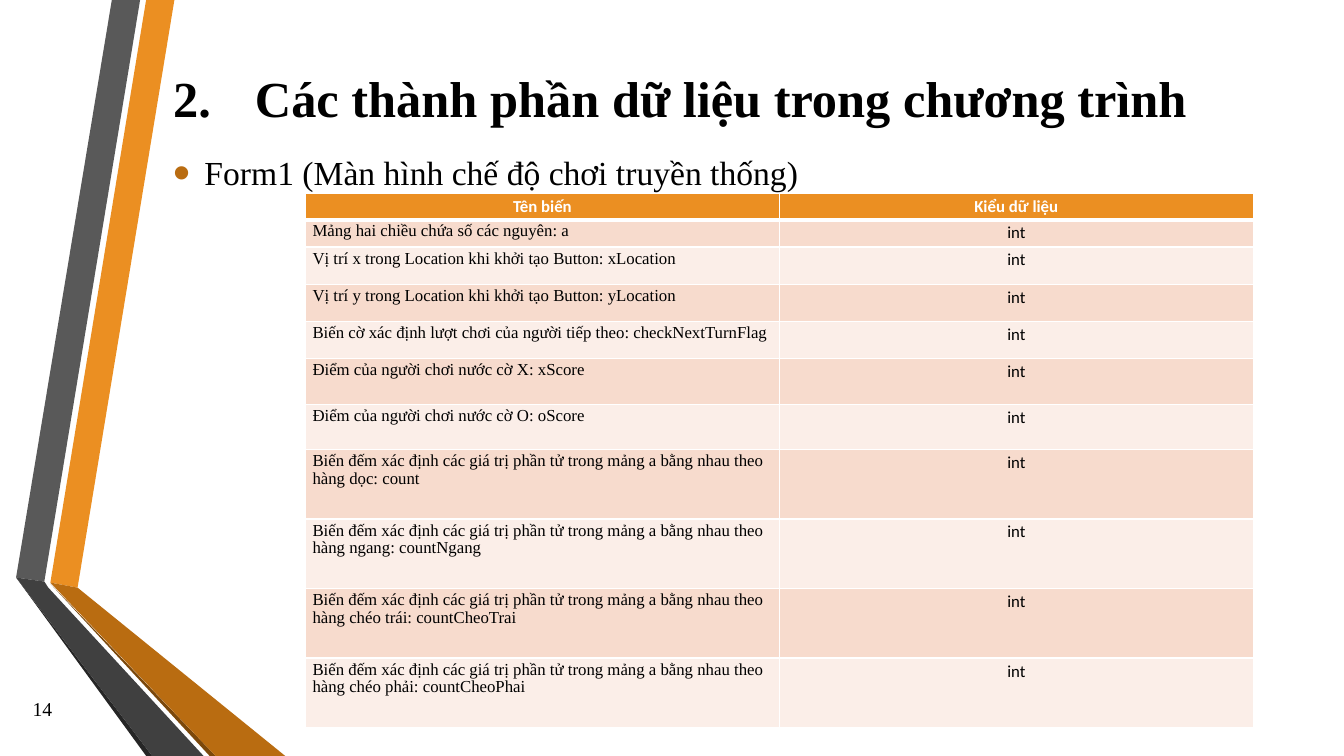
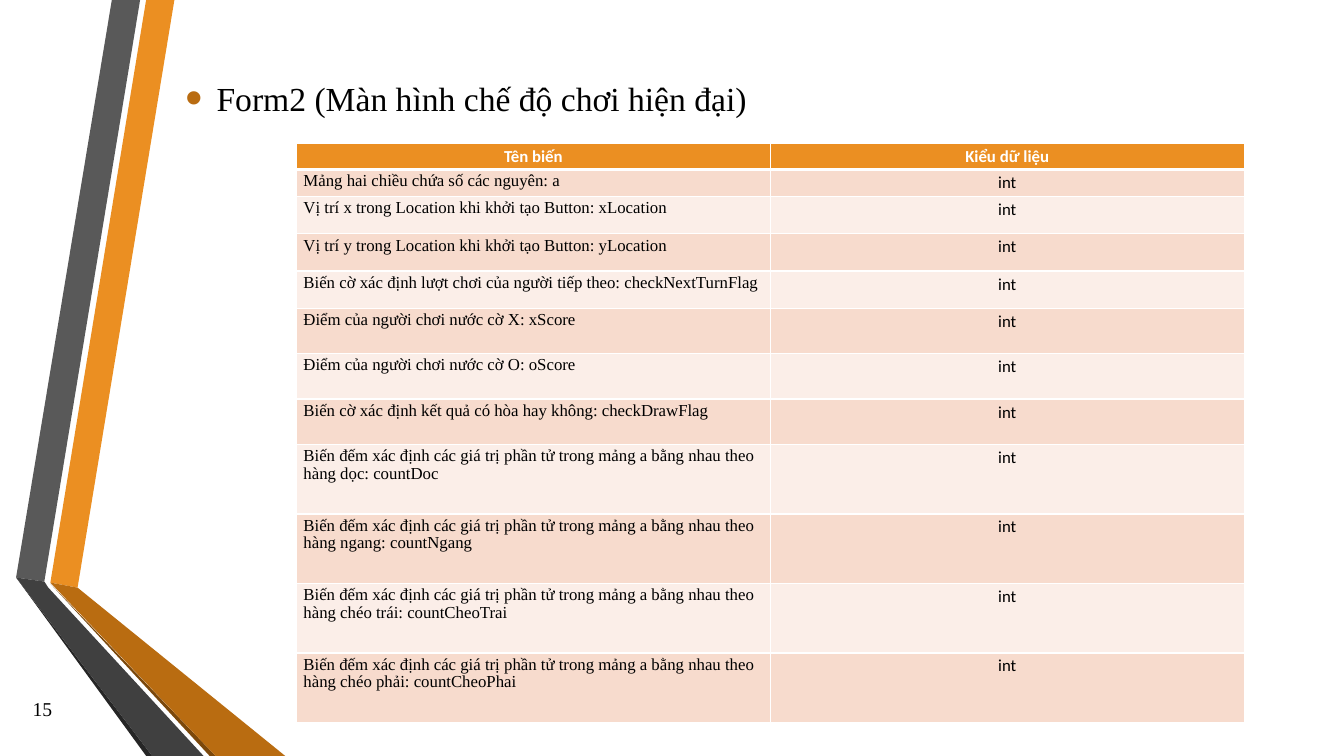
from lxml.etree import SubElement
from pptx import Presentation
from pptx.dml.color import RGBColor
from pptx.enum.text import MSO_ANCHOR, PP_ALIGN
from pptx.oxml.ns import qn
from pptx.util import Pt

PX = 9144  # 100 px to the inch
WIDE, HIGH = 1333, 750

WHITE = RGBColor(0xFF, 0xFF, 0xFF)
BLACK = RGBColor(0, 0, 0)
ORANGE = RGBColor(0xEB, 0x8F, 0x22)
RUST = RGBColor(0xB9, 0x6C, 0x11)
BROWN = RGBColor(0x7B, 0x48, 0x0B)
GREY = RGBColor(0x59, 0x59, 0x59)
DARK = RGBColor(0x40, 0x40, 0x40)
COAL = RGBColor(0x26, 0x26, 0x26)
BANDS = RGBColor(0xF7, 0xDB, 0xCD), RGBColor(0xFB, 0xEE, 0xE8)

SERIF, SANS = "Times New Roman", "Calibri"

RIBBONS = [
    (ORANGE, [(50, 578), (77, 583), (173, 0), (145, 0)]),
    (GREY, [(139, 0), (111, 0), (16, 573), (44, 577)]),
    (COAL, [(16, 573), (145, 750), (151, 750)]),
    (BROWN, [(50, 579), (208, 750), (214, 750)]),
    (RUST, [(50, 578), (214, 750), (283, 750), (77, 583)]),
    (DARK, [(202, 750), (48, 583), (44, 577), (16, 573), (151, 750)]),
]

HEADS = "Tên biến", "Kiểu dữ liệu"
KIND = "int"
HEAD, FIRST, SHORT, MID, TALL = 26, 27, 37, 45, 69  # row heights
COUNT = "Biến đếm xác định các giá trị phần tử trong mảng a bằng nhau theo hàng "
START = [
    ("Mảng hai chiều chứa số các nguyên: a", FIRST),
    ("Vị trí x trong Location khi khởi tạo Button: xLocation", SHORT),
    ("Vị trí y trong Location khi khởi tạo Button: yLocation", SHORT),
    ("Biến cờ xác định lượt chơi của người tiếp theo: checkNextTurnFlag", SHORT),
    ("Điểm của người chơi nước cờ X: xScore", MID),
    ("Điểm của người chơi nước cờ O: oScore", MID),
]
DRAW = ("Biến cờ xác định kết quả có hòa hay không: checkDrawFlag", MID)


def counts(name):
    """Rows for the counters; name is the one for the vertical line."""
    ends = f"dọc: {name}", "ngang: countNgang", "chéo trái: countCheoTrai", "chéo phải: countCheoPhai"
    return [(COUNT + end, TALL) for end in ends]


def write(frame, text, size, font=SERIF, color=BLACK, bold=False,
          align=PP_ALIGN.LEFT, space=None):
    frame.word_wrap = True
    par = frame.paragraphs[0]
    par.alignment = align
    if space:
        par.line_spacing = space
    run = par.add_run()
    run.text = text
    run.font.size = Pt(size)
    run.font.name = font
    run.font.bold = bold
    run.font.color.rgb = color
    return par


def add_text(slide, box, text, size, pad=10, **style):
    frame = slide.shapes.add_textbox(*[n * PX for n in box]).text_frame
    frame.margin_left = frame.margin_right = pad * PX
    frame.vertical_anchor = MSO_ANCHOR.MIDDLE
    return write(frame, text, size, **style)


def hang(par, dent):
    props = par._p.get_or_add_pPr()
    props.set("marL", str(dent * PX))
    props.set("indent", str(-dent * PX))
    return props


def add_title(slide, box, number, text):
    par = add_text(slide, box, text, 36, bold=True)
    SubElement(hang(par, 81), qn("a:buAutoNum"), type="arabicPeriod", startAt=str(number))


def add_bullet(slide, box, text):
    props = hang(add_text(slide, box, text, 24), 31)
    SubElement(SubElement(props, qn("a:buClr")), qn("a:srgbClr"), val=str(RUST))
    SubElement(props, qn("a:buSzPct"), val="145000")
    SubElement(props, qn("a:buFont"), typeface="Arial")
    SubElement(props, qn("a:buChar"), char="•")


def add_frame(slide, number):
    """Ribbons at the left and the page number, the same on each slide."""
    for color, (start, *rest) in RIBBONS:
        path = slide.shapes.build_freeform(*start, scale=PX)
        path.add_line_segments(rest)
        shape = path.convert_to_shape()
        shape.shadow.inherit = False
        shape.fill.solid()
        shape.fill.fore_color.rgb = color
        shape.line.fill.background()
    add_text(slide, (12, 683, 60, 40), str(number), 14, pad=0, align=PP_ALIGN.CENTER)


def edge(cell, base):
    """White cell borders, with the given width in points below."""
    props = cell._tc.get_or_add_tcPr()
    for at, (side, width) in enumerate(zip("LRTB", (1, 1, 1, base))):
        line = SubElement(props, qn(f"a:ln{side}"), w=str(Pt(width)))
        SubElement(SubElement(line, qn("a:solidFill")), qn("a:srgbClr"), val=str(WHITE))
        props.insert(at, line)


def fill_cell(cell, text, fill, base=1, **style):
    cell.margin_left = cell.margin_right = 7 * PX
    cell.margin_top = cell.margin_bottom = 3 * PX
    cell.fill.solid()
    cell.fill.fore_color.rgb = fill
    edge(cell, base)
    write(cell.text_frame, text, 12, **style)


def add_grid(slide, left, top, rows):
    highs = [HEAD] + [high for _, high in rows]
    box = [n * PX for n in (left, top, 940, sum(highs))]
    grid = slide.shapes.add_table(len(highs), len(HEADS), *box).table
    for row, high in zip(grid.rows, highs):
        row.height = high * PX
    mid = {"font": SANS, "align": PP_ALIGN.CENTER}
    for col, head in enumerate(HEADS):
        fill_cell(grid.cell(0, col), head, ORANGE, base=3, color=WHITE, bold=True, **mid)
    for at, (text, _) in enumerate(rows):
        fill = BANDS[at % 2]
        fill_cell(grid.cell(at + 1, 0), text, fill, space=0.95)
        fill_cell(grid.cell(at + 1, 1), KIND, fill, **mid)


def main():
    deck = Presentation()
    deck.slide_width, deck.slide_height = WIDE * PX, HIGH * PX
    blank = deck.slide_layouts[6]

    slide = deck.slides.add_slide(blank)
    add_frame(slide, 14)
    add_title(slide, (162, 60, 1057, 73), 2, "Các thành phần dữ liệu trong chương trình")
    add_bullet(slide, (162, 141, 1096, 60), "Form1 (Màn hình chế độ chơi truyền thống)")
    add_grid(slide, 303, 192, START + counts("count"))

    slide = deck.slides.add_slide(blank)
    add_frame(slide, 15)
    add_bullet(slide, (174, 67, 1096, 60), "Form2 (Màn hình chế độ chơi hiện đại)")
    add_grid(slide, 294, 142, START + [DRAW] + counts("countDoc"))

    deck.save("out.pptx")


if __name__ == "__main__":
    main()
